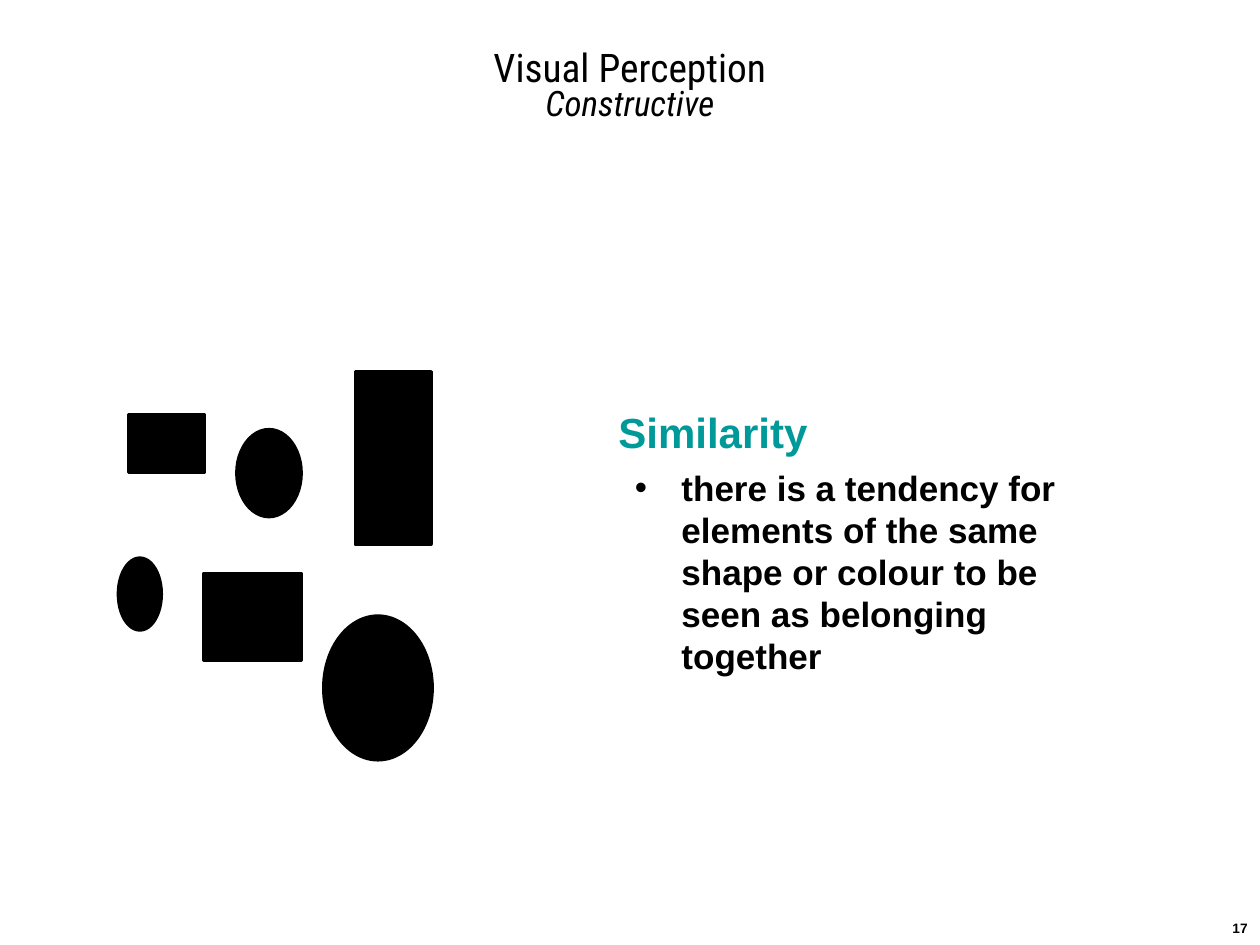
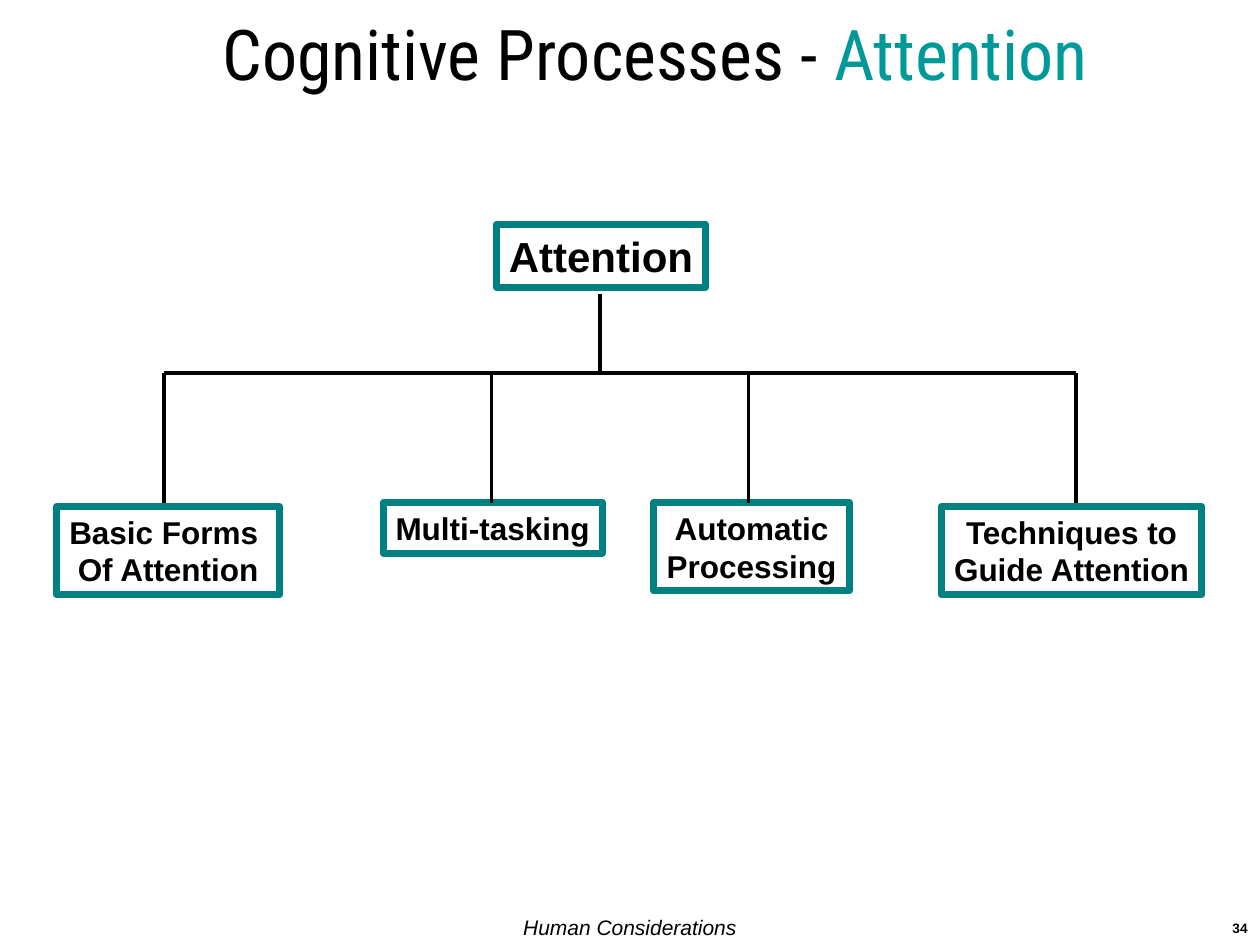
from lxml.etree import SubElement
from pptx import Presentation
from pptx.dml.color import RGBColor
from pptx.enum.shapes import MSO_CONNECTOR, MSO_SHAPE
from pptx.enum.text import MSO_ANCHOR, MSO_AUTO_SIZE, PP_ALIGN
from pptx.oxml.ns import qn
from pptx.util import Inches, Pt

COLORS = {
    "background": "FFFFFF",
    "ink": "000000",
    "accent": "009999",
    "border": "008080",
}
BODY_FONT = "Arial"
TITLE_FONT = "Roboto Condensed"


def color(name):
    return RGBColor.from_string(COLORS[name])


def set_font(font, size, face=BODY_FONT, ink="ink", bold=False, italic=False):
    font.name = face
    font.size = Pt(size)
    font.bold = bold
    font.italic = italic
    font.color.rgb = color(ink)


def add_slide(deck, number):
    slide = deck.slides.add_slide(deck.slide_layouts[6])
    slide.background.fill.solid()
    slide.background.fill.fore_color.rgb = color("background")
    page_number = add_text(slide, 7.92, 7.25, 2.08, 0.25).paragraphs[0]
    page_number.text = str(number)
    page_number.alignment = PP_ALIGN.RIGHT
    set_font(page_number.font, 7.8, bold=True)
    return slide


def add_text(slide, left, top, width, height):
    frame = slide.shapes.add_textbox(
        Inches(left), Inches(top), Inches(width), Inches(height)
    ).text_frame
    frame.word_wrap = True
    return frame


def add_title(slide, left, top):
    frame = add_text(slide, left, top, 10, 0.83)
    frame.vertical_anchor = MSO_ANCHOR.MIDDLE
    heading = frame.paragraphs[0]
    heading.alignment = PP_ALIGN.CENTER
    return frame, heading


def add_footer(slide, text):
    footer = add_text(slide, 0, 7.21, 10, 0.3).paragraphs[0]
    footer.text = text
    footer.alignment = PP_ALIGN.CENTER
    set_font(footer.font, 12, italic=True)


def add_outlined(slide, preset, left, top, width, height, line, weight):
    figure = slide.shapes.add_shape(
        preset, Inches(left), Inches(top), Inches(width), Inches(height)
    )
    figure.shadow.inherit = False
    figure.line.color.rgb = color(line)
    figure.line.width = Pt(weight)
    return figure


def add_solid(slide, preset, left, top, width, height):
    figure = add_outlined(slide, preset, left, top, width, height, "ink", 2)
    figure.fill.solid()
    figure.fill.fore_color.rgb = color("ink")


def add_node(slide, lines, left, top, width, height, size=18, align=PP_ALIGN.CENTER):
    node = add_outlined(
        slide, MSO_SHAPE.RECTANGLE, left, top, width, height, "border", 4
    )
    node.fill.background()
    frame = node.text_frame
    frame.word_wrap = False
    frame.auto_size = MSO_AUTO_SIZE.SHAPE_TO_FIT_TEXT
    frame.vertical_anchor = MSO_ANCHOR.TOP
    frame.text = "\n".join(lines)
    for label in frame.paragraphs:
        label.alignment = align
        set_font(label.font, size, bold=True)


def add_branch(slide, x1, y1, x2, y2):
    branch = slide.shapes.add_connector(
        MSO_CONNECTOR.STRAIGHT, Inches(x1), Inches(y1), Inches(x2), Inches(y2)
    )
    branch.line.color.rgb = color("ink")
    branch.line.width = Pt(2)
    SubElement(branch._element.spPr, qn("a:effectLst"))


def add_bullet(paragraph, margin, hanging):
    properties = paragraph._p.get_or_add_pPr()
    properties.set("marL", str(Inches(margin)))
    properties.set("indent", str(-Inches(hanging)))
    SubElement(properties, qn("a:buFont"), typeface=BODY_FONT)
    SubElement(properties, qn("a:buChar"), char="•")


def build_similarity(deck):
    slide = add_slide(deck, 17)
    frame, heading = add_title(slide, 0, 0.28)
    heading.text = "Visual Perception"
    heading.line_spacing = 0.8
    set_font(heading.font, 22.5, TITLE_FONT)
    subtitle = frame.add_paragraph()
    subtitle.text = "Constructive"
    subtitle.alignment = PP_ALIGN.CENTER
    subtitle.line_spacing = 0.8
    set_font(subtitle.font, 20, TITLE_FONT, italic=True)

    principle = add_text(slide, 4.81, 3.18, 4.12, 2.59)
    term = principle.paragraphs[0]
    term.text = "Similarity"
    set_font(term.font, 24, ink="accent", bold=True)
    definition = principle.add_paragraph()
    definition.text = (
        "there is a tendency for elements of the same shape or colour "
        "to be seen as belonging together"
    )
    definition.space_before = Pt(5)
    add_bullet(definition, 0.5, 0.37)
    set_font(definition.font, 20, bold=True)

    similar_figures = {
        MSO_SHAPE.RECTANGLE: [
            (1.02, 3.29, 0.6, 0.46),
            (1.62, 4.55, 0.77, 0.69),
            (2.82, 2.95, 0.6, 1.37),
        ],
        MSO_SHAPE.OVAL: [
            (2.57, 4.89, 0.86, 1.14),
            (1.88, 3.41, 0.51, 0.69),
            (0.94, 4.43, 0.34, 0.57),
        ],
    }
    for preset, places in similar_figures.items():
        for place in places:
            add_solid(slide, preset, *place)


def build_attention(deck):
    slide = add_slide(deck, 34)
    _, heading = add_title(slide, 0.2, 0)
    for text, ink in (("Cognitive Processes - ", "ink"), ("Attention", "accent")):
        part = heading.add_run()
        part.text = text
        set_font(part.font, 40, TITLE_FONT, ink)
    add_footer(slide, "Human Considerations")

    add_node(slide, ["Attention"], 3.94, 1.78, 1.66, 0.5, 24, PP_ALIGN.LEFT)
    trunk, crossbar, branch_end = 4.76, 2.96, 3.99
    topics = [
        (1.3, ["Basic Forms ", "Of Attention"], 0.45, 4.02, 1.77, 0.7),
        (3.9, ["Multi-tasking"], 3.04, 3.99, 1.74, 0.4),
        (5.94, ["Automatic", "Processing"], 5.19, 3.99, 1.55, 0.7),
        (8.54, ["Techniques to", "Guide Attention"], 7.47, 4.02, 2.07, 0.7),
    ]
    add_branch(slide, trunk, 2.33, trunk, crossbar)
    add_branch(slide, topics[0][0], crossbar, topics[-1][0], crossbar)
    for branch, lines, *place in topics:
        add_node(slide, lines, *place)
        add_branch(slide, branch, crossbar, branch, branch_end)


def main():
    deck = Presentation()
    deck.slide_width = Inches(10)
    deck.slide_height = Inches(7.5)
    build_similarity(deck)
    build_attention(deck)
    deck.save("out.pptx")


if __name__ == "__main__":
    main()
